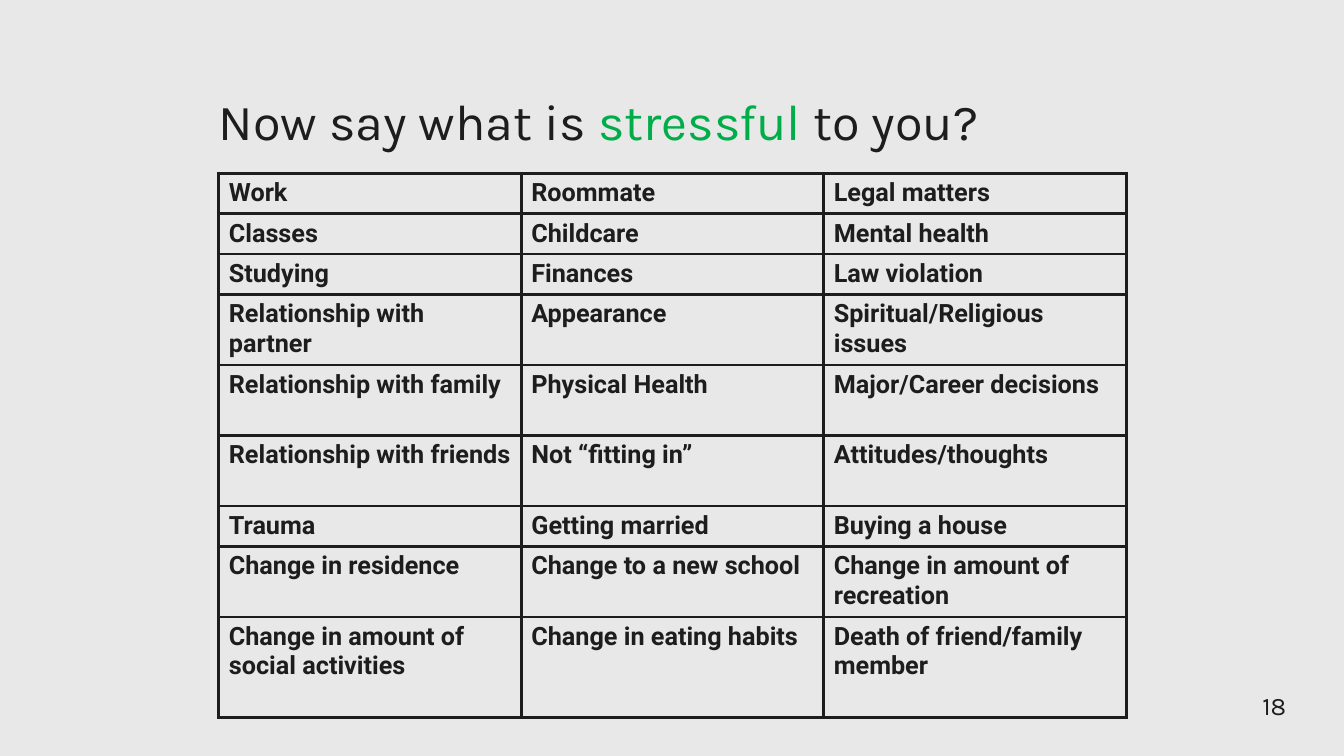
from lxml import etree
from pptx import Presentation
from pptx import util as u
from pptx.dml.color import RGBColor
from pptx.enum import text
from pptx.oxml.ns import qn

PX = 9144  # EMU per px, 100 px to the inch
INK, GREEN, PAPER = "1D1D1D", "00AD48", "E8E8E8"

STRESSORS = [
    ("Work", "Roommate", "Legal matters"),
    ("Classes", "Childcare", "Mental health"),
    ("Studying", "Finances", "Law violation"),
    ("Relationship with partner", "Appearance", "Spiritual/Religious issues"),
    ("Relationship with family", "Physical Health", "Major/Career decisions"),
    ("Relationship with friends", "Not “fitting in”", "Attitudes/thoughts"),
    ("Trauma", "Getting married", "Buying a house"),
    ("Change in residence", "Change to a new school", "Change in amount of recreation"),
    ("Change in amount of social activities", "Change in eating habits",
     "Death of friend/family member"),
]
ROW_HEIGHTS = [40, 40, 40, 70, 70, 70, 40, 70, 100]
COLUMN_WIDTH = 300


def color(hex_string):
    return RGBColor.from_string(hex_string)


def px(*lengths):
    return [u.Emu(length * PX) for length in lengths]


def assign(target, values):
    for name, value in values.items():
        setattr(target, name, value)


class StressSlide:
    heading_font, body_font = "Karla", "Roboto"

    def __init__(self, deck):
        title_only = deck.slide_layouts[5]
        self.slide = deck.slides.add_slide(title_only)
        fill = self.slide.background.fill
        fill.solid()
        fill.fore_color.rgb = color(PAPER)

    def add_runs(self, paragraph, runs, size, font, bold=False):
        """Fill a paragraph with (wording, colour) runs."""
        for wording, hex_string in runs:
            run = paragraph.add_run()
            run.text = wording
            assign(run.font, {"size": u.Pt(size), "name": font, "bold": bold})
            run.font.color.rgb = color(hex_string)

    def frame(self, shape, **values):
        """Set a text frame without margins and return its first paragraph."""
        margins = {f"margin_{side}": 0 for side in ("left", "top", "right", "bottom")}
        assign(shape.text_frame, {**margins, "auto_size": text.MSO_AUTO_SIZE.NONE, **values})
        return shape.text_frame.paragraphs[0]

    def title(self, box, runs):
        heading = self.slide.shapes.title
        assign(heading, dict(zip(("left", "top", "width", "height"), px(*box))))
        line = self.frame(heading, word_wrap=True, vertical_anchor=text.MSO_ANCHOR.BOTTOM)
        assign(line, {"alignment": text.PP_ALIGN.LEFT, "line_spacing": 1.1})
        self.add_runs(line, runs, 36, self.heading_font)

    def page_number(self, box, number):
        label = self.slide.shapes.add_textbox(*px(*box))
        line = self.frame(label, word_wrap=False, margin_right=px(10)[0])
        line.line_spacing = 1.5
        self.add_runs(line, [(number, INK)], 18, self.heading_font)

    def grid(self, left, top, rows, heights, column_width):
        columns = len(rows[0])
        box = px(left, top, columns * column_width, sum(heights))
        table = self.slide.shapes.add_table(len(rows), columns, *box).table
        assign(table, {"first_row": False, "horz_banding": False})
        for column in table.columns:
            column.width = px(column_width)[0]
        for row, height, wordings in zip(table.rows, heights, rows):
            row.height = px(height)[0]
            for cell, wording in zip(row.cells, wordings):
                cell.fill.background()
                self.outline(cell)
                line = cell.text_frame.paragraphs[0]
                self.add_runs(line, [(wording, INK)], 18, self.body_font, bold=True)

    def outline(self, cell):
        """Draw all four borders of a cell."""
        properties = cell._tc.get_or_add_tcPr()
        for position, side in enumerate(("lnL", "lnR", "lnT", "lnB")):
            border = etree.Element(qn(f"a:{side}"), w=str(u.Pt(2.25)))
            solid = etree.SubElement(border, qn("a:solidFill"))
            etree.SubElement(solid, qn("a:srgbClr"), val=INK)
            properties.insert(position, border)


def main():
    deck = Presentation()
    assign(deck, {"slide_width": u.Inches(13.33), "slide_height": u.Inches(7.5)})
    page = StressSlide(deck)
    page.title((217, 88, 771, 61),
               [("Now say what is ", INK), ("stressful ", GREEN), ("to you?", INK)])
    page.grid(217, 172, STRESSORS, ROW_HEIGHTS, COLUMN_WIDTH)
    page.page_number((1252, 670, 37, 40), "18")
    deck.save("out.pptx")


if __name__ == "__main__":
    main()
